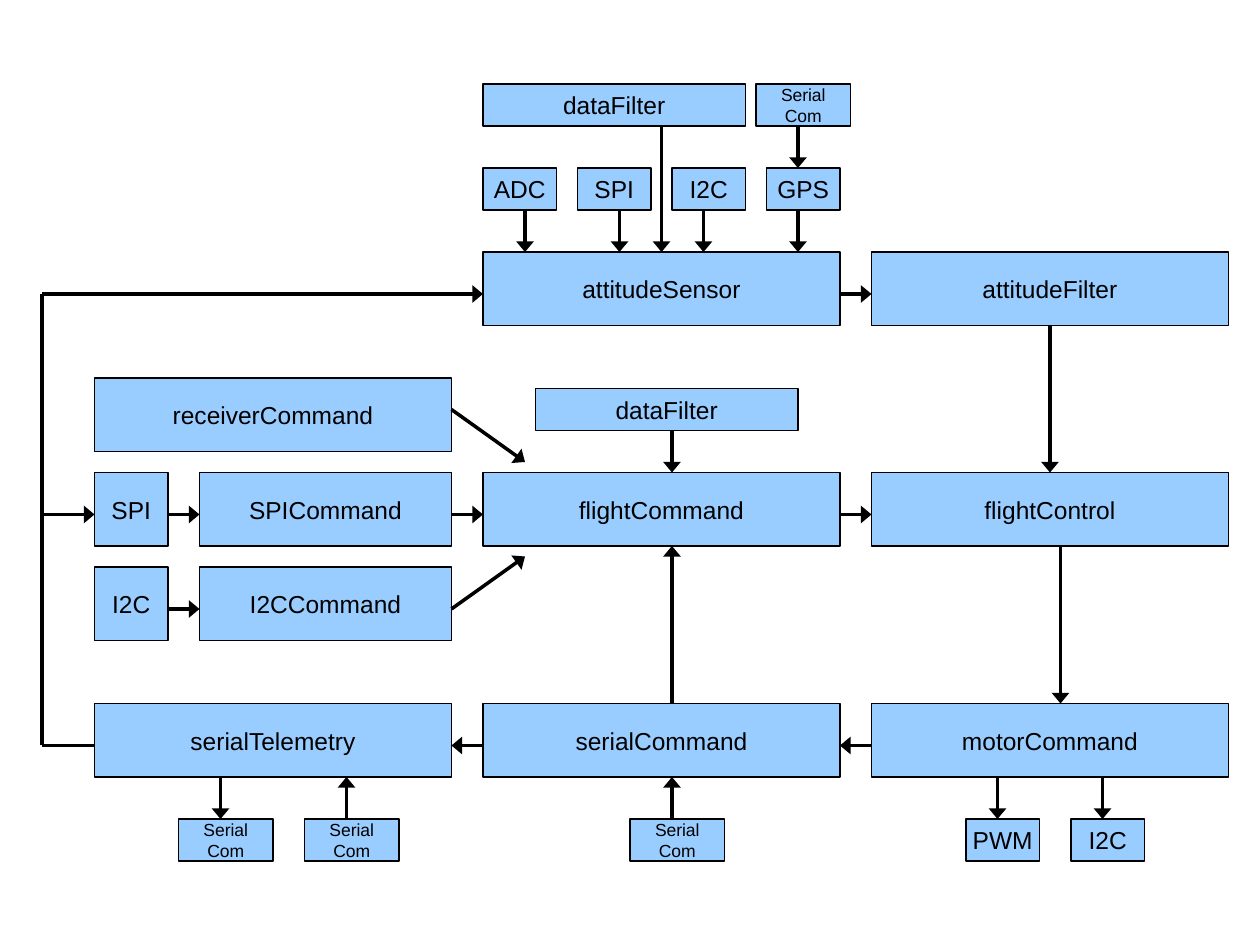
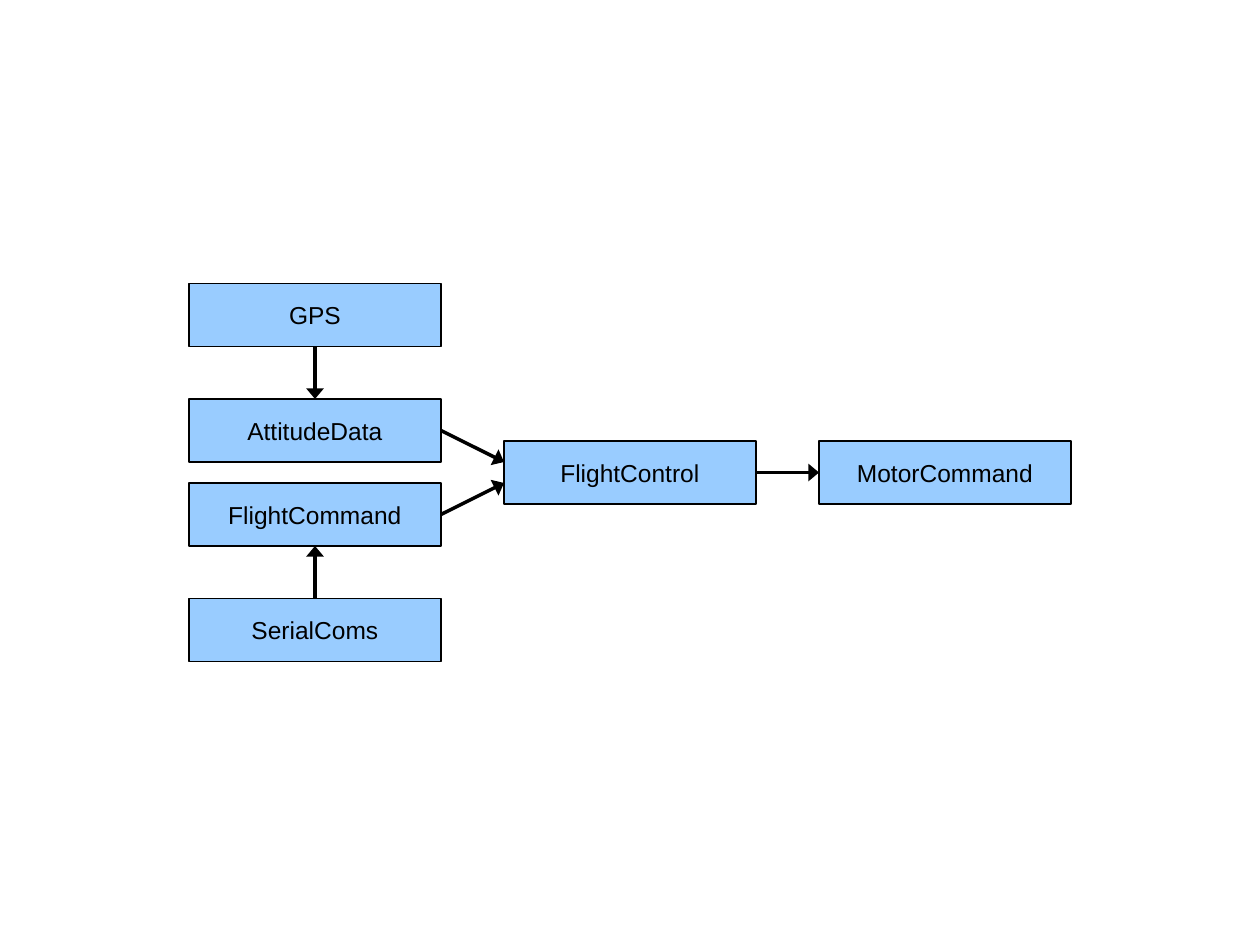
from lxml.etree import SubElement
from pptx import Presentation
from pptx.dml.color import RGBColor
from pptx.enum.shapes import MSO_CONNECTOR, MSO_SHAPE
from pptx.enum.text import MSO_ANCHOR, PP_ALIGN
from pptx.oxml.ns import qn
from pptx.util import Inches, Pt

COLORS = {"fill": "99CCFF", "ink": "000000"}
FONT = "Arial"
WIDTH, HEIGHT = Inches(10), Inches(7.5)
COLS, ROWS = 120, 90
BLOCK = (34, 7)
CHIP = (7, 4)
COM = (9, 4)
FILTER = (25, 4)
RIGHT = 37


def color(name):
    return RGBColor.from_string(COLORS[name])


def place(col, row):
    return int(WIDTH * col / COLS), int(HEIGHT * row / ROWS)


class Sheet:
    def __init__(self, deck):
        self.shapes = deck.slides.add_slide(deck.slide_layouts[6]).shapes
        self.ports = {}

    def node(self, label, col, row, size):
        wide, high = size
        shape = self.shapes.add_shape(
            MSO_SHAPE.RECTANGLE, *place(col, row), *place(wide, high))
        shape.shadow.inherit = False
        shape.fill.solid()
        shape.fill.fore_color.rgb = color("fill")
        shape.line.color.rgb = color("ink")
        shape.line.width = Pt(0.75)
        frame = shape.text_frame
        frame.word_wrap = False
        frame.vertical_anchor = MSO_ANCHOR.MIDDLE
        frame.text = label
        for para in frame.paragraphs:
            para.alignment = PP_ALIGN.CENTER
            para.font.name = FONT
            para.font.size = Pt(10 if "\n" in label else 14)
            para.font.color.rgb = color("ink")
        midx, midy = col + wide / 2, row + high / 2
        sides = [(midx, row), (col, midy), (midx, row + high), (col + wide, midy)]
        for site, point in enumerate(sides):
            self.ports[point] = shape, site

    def line(self, start, end, head=True):
        link = self.shapes.add_connector(
            MSO_CONNECTOR.STRAIGHT, *place(*start), *place(*end))
        link.line.color.rgb = color("ink")
        link.line.width = Pt(2)
        props = link.element.spPr
        if head:
            SubElement(props.find(qn("a:ln")), qn("a:tailEnd"),
                       type="triangle", w="lg", len="med")
        SubElement(props, qn("a:effectLst"))
        if start in self.ports:
            link.begin_connect(*self.ports[start])
        if end in self.ports:
            link.end_connect(*self.ports[end])

    def down(self, col, row, span):
        self.line((col, row), (col, row + span))

    def across(self, col, row, span):
        self.line((col, row), (col + span, row))


def sensors(sheet, box):
    left, top, wide, high = box
    chips, main = top + 8, top + high - BLOCK[1]
    sheet.node("dataFilter", left, top, FILTER)
    sheet.node("Serial\nCom", left + 26, top, COM)
    for step, label in enumerate(("ADC", "SPI", "I2C", "GPS")):
        sheet.node(label, left + 9 * step, chips, CHIP)
    sheet.node("attitudeSensor", left, main, BLOCK)
    sheet.node("attitudeFilter", left + wide - BLOCK[0], main, BLOCK)
    for col in (4, 13, 21, 30):
        sheet.down(left + col, main - 4, 4)
    sheet.down(left + 30, top + 4, 4)
    sheet.down(left + 17, top + 4, 12)
    sheet.across(left + BLOCK[0], main + 4, 3)


def commands(sheet, box):
    left, top, wide, high = box
    mid, low = top + 9, top + high - BLOCK[1]
    core = left + RIGHT
    sheet.node("receiverCommand", left, top, BLOCK)
    for label, row in (("SPI", mid), ("I2C", low)):
        sheet.node(label, left, row, (7, 7))
        sheet.node(label + "Command", left + 10, row, (24, 7))
        sheet.across(left + 7, row + 4, 3)
    sheet.node("dataFilter", core + 5, top + 1, FILTER)
    sheet.node("flightCommand", core, mid, BLOCK)
    sheet.node("flightControl", left + wide - BLOCK[0], mid, BLOCK)
    for col in (core, core + RIGHT):
        sheet.across(col - 3, mid + 4, 3)
    sheet.down(core + 18, mid - 4, 4)
    sheet.line((core - 3, top + 3), (core + 4, mid - 1))
    sheet.line((core - 3, low + 4), (core + 4, low - 1))


def outputs(sheet, box):
    left, top, wide, high = box
    edge, low = top + BLOCK[1], top + high - 4
    names = ("serialTelemetry", "serialCommand", "motorCommand")
    for step, label in enumerate(names):
        sheet.node(label, left + RIGHT * step, top, BLOCK)
    for col in (8, 20, 51):
        sheet.node("Serial\nCom", left + col, low, COM)
    for label, col in (("PWM", 83), ("I2C", 93)):
        sheet.node(label, left + col, low, CHIP)
    for col in (12, 86, 96):
        sheet.down(left + col, edge, 4)
    for col in (24, 55):
        sheet.down(left + col, low, -4)
    for step in (1, 2):
        sheet.across(left + RIGHT * step, top + 4, -3)


def links(sheet, box):
    left, top, wide, high = box
    base = top + high
    sheet.line((left + 5, base), (left, base), head=False)
    sheet.line((left, base), (left, top), head=False)
    sheet.across(left, top, 42)
    sheet.across(left, top + 21, 5)
    sheet.down(left + 96, top + 3, 14)
    sheet.down(left + 97, top + 24, 15)
    sheet.down(left + 60, base - 4, -15)


def flow(sheet, box):
    left, top, wide, high = box
    size = (24, 6)
    next_col, mid = left + 30, top + high / 2
    names = ("GPS", "AttitudeData", "FlightCommand", "SerialComs")
    for label, row in zip(names, (0, 11, 19, 30)):
        sheet.node(label, left, top + row, size)
    sheet.node("FlightControl", next_col, mid - 3, size)
    sheet.node("MotorCommand", left + wide - 24, mid - 3, size)
    sheet.down(left + 12, top + 6, 5)
    sheet.down(left + 12, top + 30, -5)
    for side in (-1, 1):
        sheet.line((left + 24, mid + 4 * side), (next_col, mid + side))
    sheet.across(next_col + 24, mid, 6)


def main():
    deck = Presentation()
    deck.slide_width, deck.slide_height = WIDTH, HEIGHT
    full = Sheet(deck)
    sensors(full, (46, 8, 71, 23))
    commands(full, (9, 36, 108, 25))
    outputs(full, (9, 67, 108, 15))
    links(full, (4, 28, 113, 43))
    flow(Sheet(deck), (18, 27, 84, 36))
    deck.save("out.pptx")


if __name__ == "__main__":
    main()
